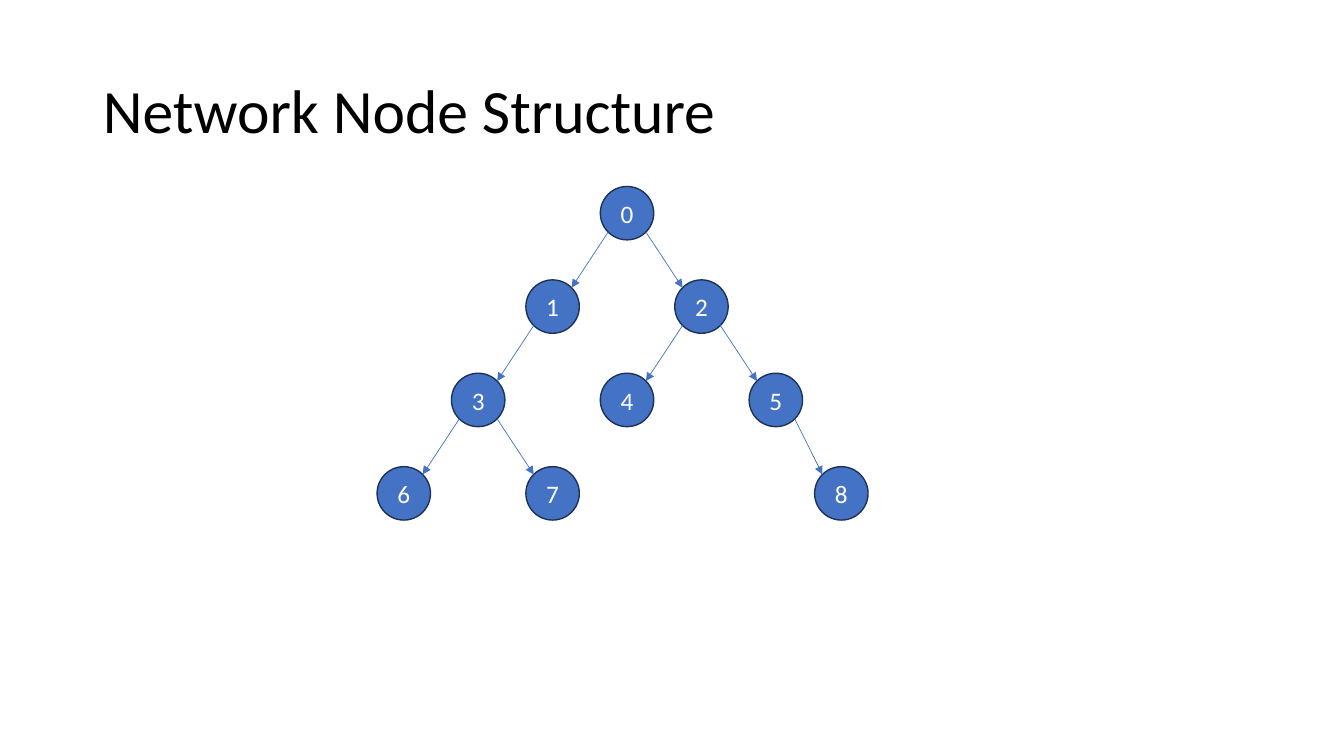
from collections import namedtuple
from dataclasses import dataclass
from math import sqrt

from lxml.etree import SubElement
from pptx import Presentation
from pptx.dml.color import RGBColor
from pptx.enum.shapes import MSO_CONNECTOR as Connector, MSO_SHAPE as Shape
from pptx.enum.text import MSO_ANCHOR as Anchor, MSO_AUTO_SIZE as AutoSize, PP_ALIGN as Align
from pptx.oxml.ns import qn
from pptx.util import Inches, Pt


@dataclass(frozen=True)
class Theme:
    font: str = "Calibri"
    title_color: RGBColor = RGBColor.from_string("000000")
    node_fill: RGBColor = RGBColor.from_string("4472C4")
    node_outline: RGBColor = RGBColor.from_string("1E3256")
    node_text: RGBColor = RGBColor.from_string("FFFFFF")
    title_size: Pt = Pt(44)
    node_size: Pt = Pt(18)
    outline_width: Pt = Pt(1)
    arrow_width: Pt = Pt(0.5)


THEME = Theme()
Box = namedtuple("Box", "left top width height")

SLIDE_WIDTH, SLIDE_HEIGHT = 13.33, 7.5
TITLE_BOX = Box(0.92, 0.4, 11.5, 1.45)
TREE_BOX = Box(3.74, 1.85, 4.87, 3.31)

# Node label: (column, row) on the tree grid
NODE_DIAMETER = 0.53
LAST_COLUMN, LAST_ROW = 5.88, 3
NODES = {
    "0": (3, 0),
    "1": (2, 1), "2": (4, 1),
    "3": (1, 2), "4": (3, 2), "5": (5, 2),
    "6": (0, 3), "7": (2, 3), "8": (LAST_COLUMN, 3),
}
CHILDREN = {"0": "12", "1": "3", "2": "45", "3": "67", "5": "8"}

# Connection sites on an ellipse, counted anticlockwise from the top
TOP_LEFT, BOTTOM_LEFT, BOTTOM_RIGHT, TOP_RIGHT = 1, 3, 5, 7


def apply_format(target, values):
    for name, value in values.items():
        setattr(target, name, value)


def write_text(frame, text, align, size, color, line_spacing=1.0):
    apply_format(frame, {"word_wrap": True, "auto_size": AutoSize.NONE,
                         "vertical_anchor": Anchor.MIDDLE})
    para = frame.paragraphs[0]
    apply_format(para, {"alignment": align, "line_spacing": line_spacing})
    span = para.add_run()
    span.text = text
    apply_format(span.font, {"name": THEME.font, "size": size})
    span.font.color.rgb = color


def place_title(page, box, text):
    title = page.shapes.title
    apply_format(title, {name: Inches(value) for name, value in box._asdict().items()})
    write_text(title.text_frame, text, Align.LEFT, THEME.title_size,
               THEME.title_color, line_spacing=0.9)


def add_node(page, box, label, column, row):
    column_step = (box.width - NODE_DIAMETER) / LAST_COLUMN
    row_step = (box.height - NODE_DIAMETER) / LAST_ROW
    node = page.shapes.add_shape(
        Shape.OVAL, Inches(box.left + column * column_step),
        Inches(box.top + row * row_step),
        Inches(NODE_DIAMETER), Inches(NODE_DIAMETER))
    node.name = f"Node {label}"
    node.shadow.inherit = False
    node.fill.solid()
    node.fill.fore_color.rgb = THEME.node_fill
    node.line.color.rgb = THEME.node_outline
    node.line.width = THEME.outline_width
    write_text(node.text_frame, label, Align.CENTER, THEME.node_size, THEME.node_text)
    return node


def rim_point(node, side, level):
    """Point on the circle's diagonal: side and level are -1 or 1."""
    reach = node.width / 2 / sqrt(2)
    return (round(node.left + node.width / 2 + side * reach),
            round(node.top + node.height / 2 + level * reach))


def add_arrow(page, parent, child):
    side = 1 if child.left > parent.left else -1
    arrow = page.shapes.add_connector(
        Connector.STRAIGHT, *rim_point(parent, side, 1), *rim_point(child, -side, -1))
    arrow.line.color.rgb = THEME.node_fill
    arrow.line.width = THEME.arrow_width
    SubElement(arrow.line._get_or_add_ln(), qn("a:tailEnd"), type="triangle")
    SubElement(arrow._element.spPr, qn("a:effectLst"))

    # Glue both ends so that the arrow follows its nodes
    sites = (BOTTOM_RIGHT, TOP_LEFT) if side > 0 else (BOTTOM_LEFT, TOP_RIGHT)
    glue = arrow._element.nvCxnSpPr.cNvCxnSpPr
    for tag, node, site in zip(("a:stCxn", "a:endCxn"), (parent, child), sites):
        SubElement(glue, qn(tag), id=str(node.shape_id), idx=str(site))


def place_tree(page, box):
    nodes = {label: add_node(page, box, label, *cell) for label, cell in NODES.items()}
    for parent, children in CHILDREN.items():
        for child in children:
            add_arrow(page, nodes[parent], nodes[child])


def build_deck():
    deck = Presentation()
    apply_format(deck, {"slide_width": Inches(SLIDE_WIDTH),
                        "slide_height": Inches(SLIDE_HEIGHT)})
    page = deck.slides.add_slide(deck.slide_layouts.get_by_name("Title Only"))
    place_title(page, TITLE_BOX, "Network Node Structure")
    place_tree(page, TREE_BOX)
    return deck


build_deck().save("out.pptx")
